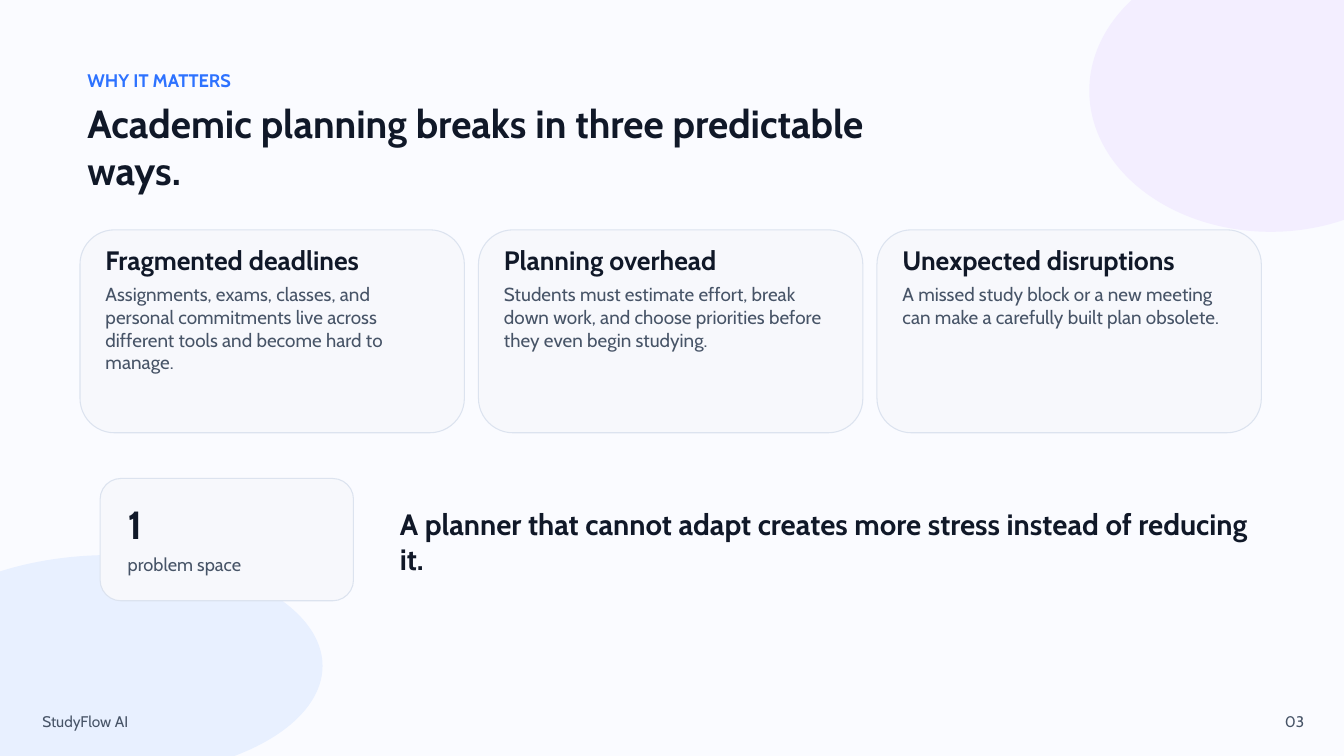
from dataclasses import dataclass

from pptx import Presentation
from pptx import util as u
from pptx.dml import color
from pptx.enum import shapes, text

COLUMNS, ROWS = 200, 112.5
CELL = u.Inches(0.1)
FONT = "Cabin"
INK, MUTED, ACCENT = "101828", "475467", "2D72FF"
PAPER, PANEL, EDGE = "FAFBFF", "F7F8FC", "DCE3EF"
LILAC, SKY = "F3EEFF", "E8F0FF"

CARDS = [
    ("Fragmented deadlines",
     "Assignments, exams, classes, and personal commitments live across "
     "different tools and become hard to manage."),
    ("Planning overhead",
     "Students must estimate effort, break down work, and choose priorities "
     "before they even begin studying."),
    ("Unexpected disruptions",
     "A missed study block or a new meeting can make a carefully built plan "
     "obsolete."),
]


@dataclass
class Box:
    left: float
    top: float
    width: float
    height: float

    def inside(self, left, top, width, height):
        return Box(self.left + left, self.top + top, width, height)

    def lengths(self):
        sides = (self.left, self.top, self.width, self.height)
        return [u.Emu(round(side * CELL)) for side in sides]


def paint(target, value):
    target.solid()
    target.fore_color.rgb = color.RGBColor.from_string(value)


def add_figure(page, kind, box, fill, edge=None):
    figure = page.shapes.add_shape(kind, *box.lengths())
    figure.shadow.inherit = False
    paint(figure.fill, fill)
    if edge:
        paint(figure.line.fill, edge)
        figure.line.width = u.Pt(1.13)
    else:
        figure.line.fill.background()
    return figure


def add_panel(page, box):
    panel = add_figure(page, shapes.MSO_SHAPE.ROUNDED_RECTANGLE, box, PANEL, EDGE)
    panel.adjustments[0] = 0.17


def write(holder, words, size, shade, bold=False, align=text.PP_ALIGN.LEFT):
    frame = holder.text_frame
    frame.word_wrap = True
    frame.auto_size = text.MSO_AUTO_SIZE.NONE
    frame.vertical_anchor = text.MSO_ANCHOR.TOP
    frame.margin_left = frame.margin_right = 0
    frame.margin_top = frame.margin_bottom = 0
    para = frame.paragraphs[0]
    para.alignment = align
    para.line_spacing = u.Pt(size * 1.2)
    span = para.add_run()
    span.text = words
    span.font.name = FONT
    span.font.size = u.Pt(size)
    span.font.bold = bold
    paint(span.font.fill, shade)


def add_text(page, box, *style, **options):
    write(page.shapes.add_textbox(*box.lengths()), *style, **options)


def add_backdrop(page, box):
    paint(page.background.fill, PAPER)
    oval = shapes.MSO_SHAPE.OVAL
    add_figure(page, oval, box.inside(162.1, -7.5, 54, 42), LILAC)
    add_figure(page, oval, box.inside(-15, 82.6, 63, 33), SKY)


def add_header(page, box):
    add_text(page, box.inside(0, 0, 65.6, 3.5), "WHY IT MATTERS", 19.5, ACCENT, bold=True)
    title = page.shapes.title
    title.left, title.top, title.width, title.height = box.inside(0, 4.5, 121.1, 12.5).lengths()
    write(title, "Academic planning breaks in three predictable ways.", 42, INK, bold=True)


def add_card(page, box, heading, body):
    add_panel(page, box)
    inner = box.width - 7.6
    add_text(page, box.inside(3.8, 2.1, inner, 3.5), heading, 28.5, INK, bold=True)
    add_text(page, box.inside(3.8, 7.9, inner, 19.3), body, 20.25, MUTED)


def add_cards(page, box, gap=2.1):
    width = (box.width - gap * (len(CARDS) - 1)) / len(CARDS)
    for index, (heading, body) in enumerate(CARDS):
        card = box.inside(index * (width + gap), 0, width, box.height)
        add_card(page, card, heading, body)


def add_summary(page, box):
    add_panel(page, box.inside(0, 0, 37.7, box.height))
    add_text(page, box.inside(4.1, 3.3, 29.5, 5.8), "1", 42, INK, bold=True)
    add_text(page, box.inside(4.1, 11.1, 29.5, 3.5), "problem space", 19.5, MUTED)
    add_text(page, box.inside(44.6, 4.1, box.width - 44.6, 10.4),
             "A planner that cannot adapt creates more stress instead of reducing it.",
             31.5, INK, bold=True)


def add_footer(page, box):
    add_text(page, box.inside(0, 0, 35.5, box.height), "StudyFlow AI", 16.5, MUTED)
    add_text(page, box.inside(box.width - 10, 0, 10, box.height), "03", 16.5, MUTED,
             align=text.PP_ALIGN.RIGHT)


def main():
    deck = Presentation()
    deck.slide_width = u.Emu(int(COLUMNS * CELL))
    deck.slide_height = u.Emu(int(ROWS * CELL))
    page = deck.slides.add_slide(deck.slide_layouts[5])
    add_backdrop(page, Box(0, 0, COLUMNS, ROWS))
    add_footer(page, Box(6.3, 105.9, 187.8, 2.8))
    add_header(page, Box(13, 10.3, 121.1, 17))
    add_cards(page, Box(11.9, 34.2, 175.8, 30.2))
    add_summary(page, Box(14.9, 71.2, 172.8, 18.2))
    deck.save("out.pptx")


if __name__ == "__main__":
    main()
